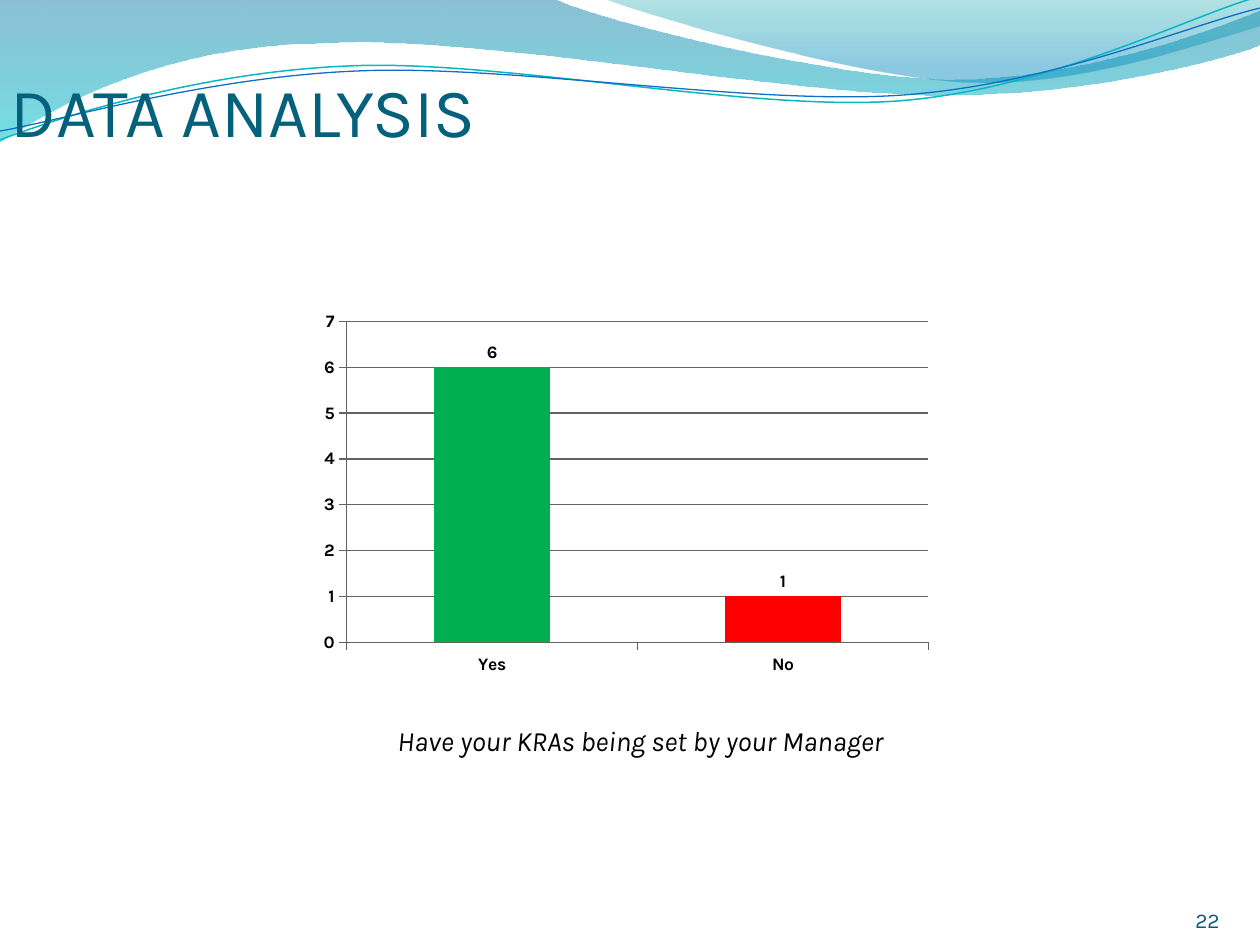
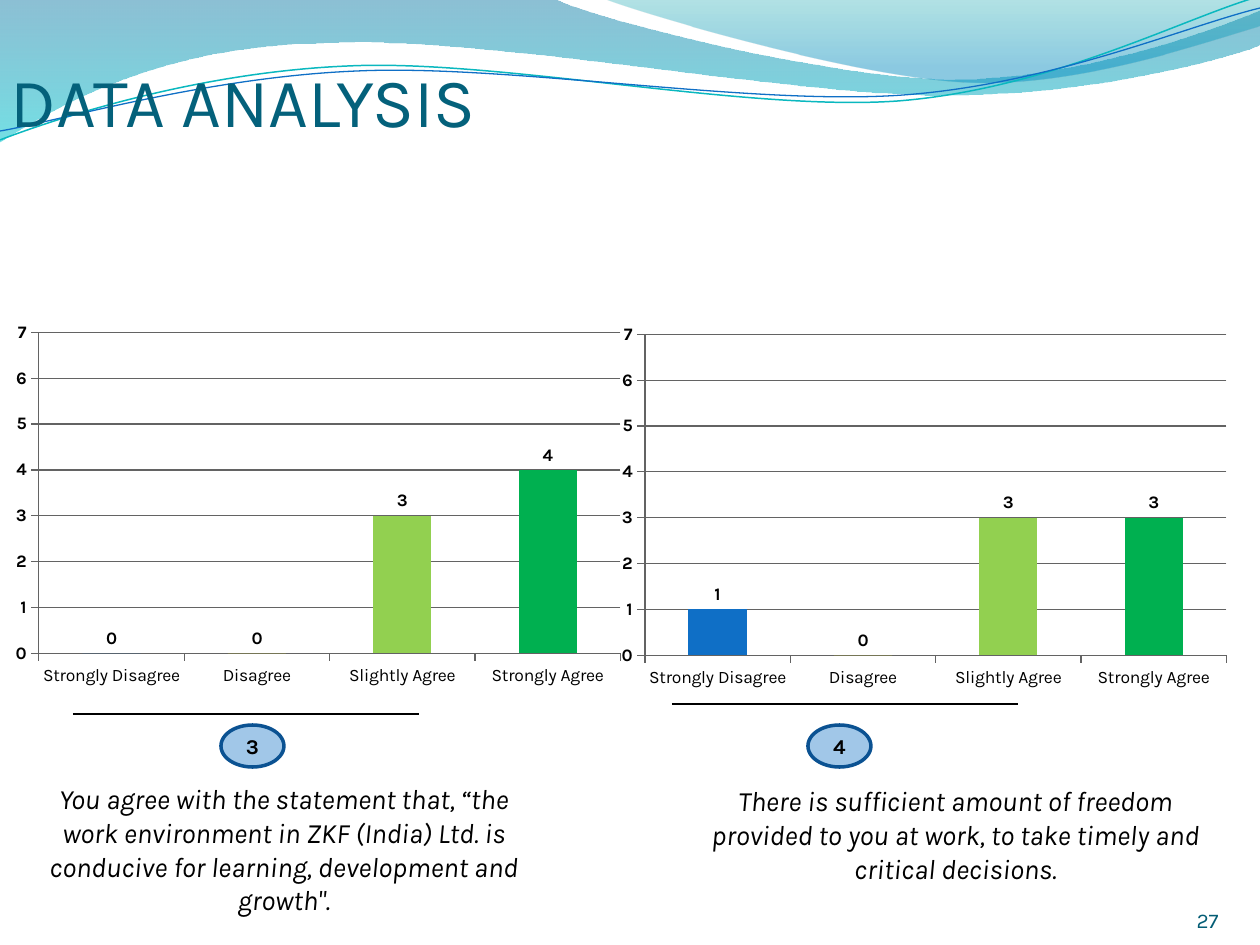
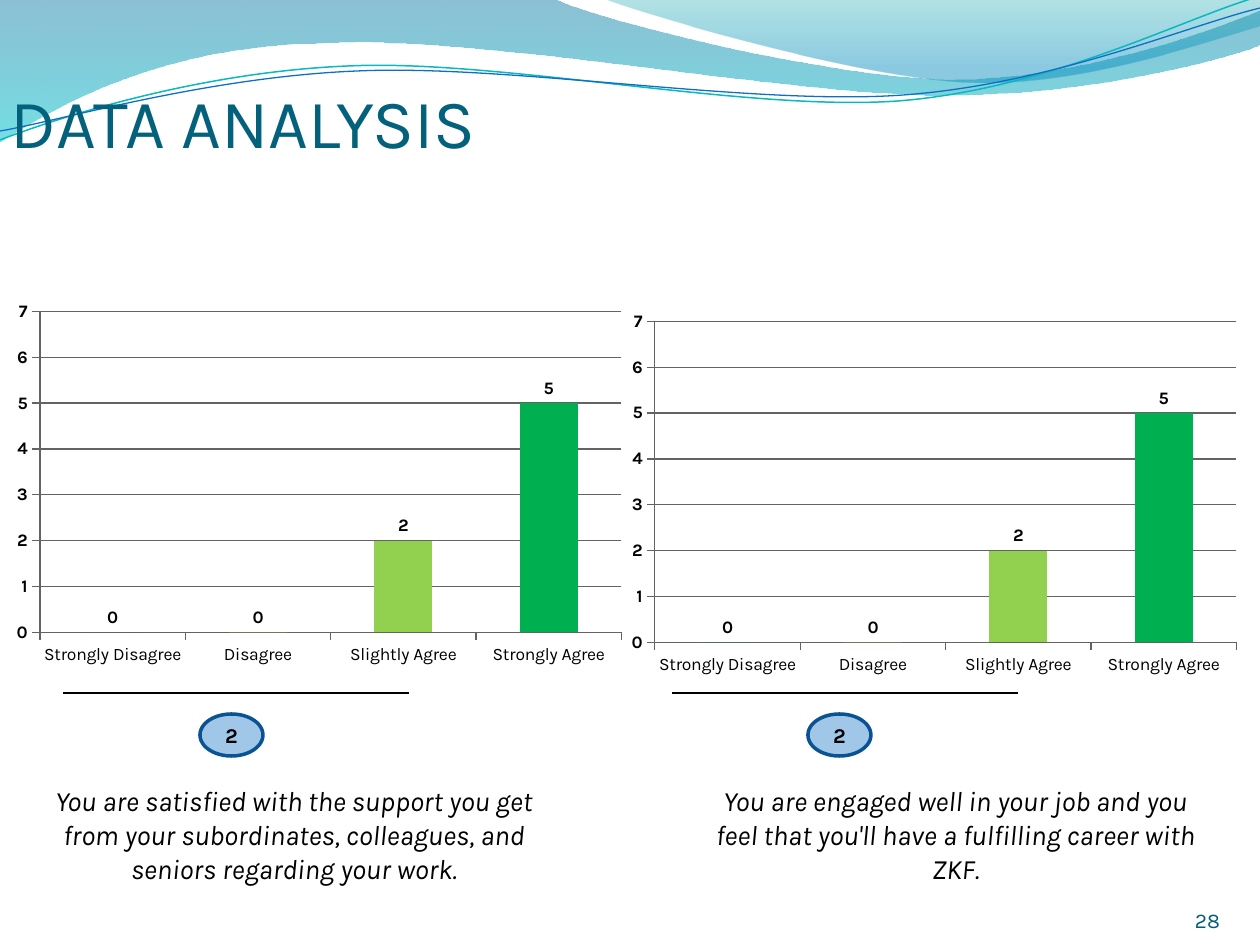
import math

from lxml import etree
from pptx import Presentation
from pptx import util as u
from pptx.chart.data import CategoryChartData
from pptx.dml.color import RGBColor
from pptx.enum import chart as ch, shapes, text
from pptx.oxml.ns import qn

EMU_PER_PX = 914400 / 126
FONT = "Karla"
BLACK, TITLE_TEAL, NUMBER_TEAL = "000000", "04617B", "045D75"
BLUE, BADGE_EDGE, AXIS_GREY = "0F6FC6", "0B5292", "636363"
GREEN, LIME, YELLOW, RED = "00B050", "92D050", "FFFF00", "FF0000"

AGREEMENT = ["Strongly Disagree", "Disagree", "Slightly Agree", "Strongly Agree"]
AGREEMENT_COLORS = [BLUE, YELLOW, LIME, GREEN]
CHART_SIZE = (630, 378)
RULE_WIDTH = 346
BADGE_SIZE = (63, 42)
STRAND_TILT = -2.7
STRAND_CENTER = (629, 73)

# Waves: a start point, then straight steps (1 point) and Bézier steps (3 points).
BACK_WAVE = [
    [(0, 0)], [(554, -1)],
    [(600, 21), (837, 79), (955, 79)], [(1074, 79), (1207, 33), (1260, 11)],
    [(1261, 45)],
    [(1238, 55), (1096, 96), (940, 95)], [(784, 95), (481, 35), (324, 43)],
    [(163, 45), (58, 105), (-1, 142)],
]
FRONT_WAVE = [
    [(604, -1)],
    [(641, 14), (859, 78), (969, 82)], [(1079, 87), (1211, 40), (1260, 26)],
    [(1260, 0)],
]
TEAL_STRAND = [
    [(0, 140)],
    [(60, 117), (199, 72), (349, 66)], [(498, 59), (747, 112), (898, 101)],
    [(1050, 89), (1182, 19), (1257, -3)],
]
BLUE_STRAND = [
    [(0, 131)],
    [(59, 121), (207, 77), (357, 71)], [(508, 64), (752, 106), (903, 95)],
    [(1053, 84), (1186, 26), (1260, 8)],
]


def px(*lengths):
    return [u.Emu(round(length * EMU_PER_PX)) for length in lengths]


def rgb(color):
    return RGBColor.from_string(color)


def set_alpha(fill_element, percents):
    colors = fill_element.iter(qn("a:srgbClr"))
    for color, percent in zip(colors, percents):
        etree.SubElement(color, qn("a:alpha")).set("val", str(percent * 1000))


def style_font(font, size, color=BLACK, bold=False, italic=False):
    font.name, font.size = FONT, u.Pt(size)
    font.bold, font.italic = bold, italic
    font.color.rgb = rgb(color)


def write(shape, words, size, align=text.PP_ALIGN.CENTER,
          anchor=text.MSO_ANCHOR.TOP, insets=(0, 0, 0, 0), **font_format):
    """Fill a shape with one paragraph; insets are left, top, right, bottom."""
    frame = shape.text_frame
    frame.word_wrap = True
    frame.vertical_anchor = anchor
    (frame.margin_left, frame.margin_top,
     frame.margin_right, frame.margin_bottom) = px(*insets)
    paragraph = frame.paragraphs[0]
    paragraph.alignment = align
    run = paragraph.add_run()
    run.text = words
    style_font(run.font, size, **font_format)


def rotate(point, degrees, center):
    angle = math.radians(degrees)
    dx, dy = point[0] - center[0], point[1] - center[1]
    return (center[0] + dx * math.cos(angle) - dy * math.sin(angle),
            center[1] + dx * math.sin(angle) + dy * math.cos(angle))


def add_outline(slide, steps, close):
    """Draw the steps as straight lines, then bend those with control points."""
    steps = [[px(*point) for point in step] for step in steps]
    builder = slide.shapes.build_freeform(*steps[0][0])
    builder.add_line_segments([step[-1] for step in steps[1:]], close=close)
    outline = builder.convert_to_shape()
    outline.shadow.inherit = False
    segments = list(outline.element.spPr.iter(qn("a:lnTo")))
    for segment, step in zip(segments, steps[1:]):
        if len(step) == 3:
            segment.tag = qn("a:cubicBezTo")
        for i, (x, y) in enumerate(step[:-1]):
            control = etree.Element(qn("a:pt"), x=str(x - outline.left),
                                    y=str(y - outline.top))
            segment.insert(i, control)
    return outline


def add_wave(slide, steps, stops):
    """Stops are (position, colour, opacity percent) from top to bottom."""
    wave = add_outline(slide, steps, close=True)
    wave.line.fill.background()
    wave.fill.gradient()
    wave.fill.gradient_angle = 270
    for stop, (position, color, _) in zip(wave.fill.gradient_stops, stops):
        stop.position = position
        stop.color.rgb = rgb(color)
    set_alpha(wave.element.spPr, [opacity for _, _, opacity in stops])
    return wave


def add_strand(slide, steps, color, width):
    level_steps = [[rotate(point, -STRAND_TILT, STRAND_CENTER) for point in step]
                   for step in steps]
    strand = add_outline(slide, level_steps, close=False)
    strand.rotation = STRAND_TILT
    strand.fill.background()
    strand.line.color.rgb = rgb(color)
    strand.line.width = u.Pt(width)
    return strand


def add_header(layout, slide):
    """Draw the header on a slide and hand it over to the layout all pages share."""
    for placeholder in list(layout.placeholders):
        layout.shapes.element.remove(placeholder.element)
    header = [
        add_wave(slide, BACK_WAVE, [(0, "0074A1", 45), (1, "00C6CF", 55)]),
        add_wave(slide, FRONT_WAVE, [(0, "00A1A9", 30), (0.8, "008BBF", 45)]),
        add_strand(slide, TEAL_STRAND, "0AB8BF", 0.85),
        add_strand(slide, BLUE_STRAND, BLUE, 0.75),
    ]
    for part in header:
        layout.shapes.element.append(part.element)


def add_page(deck, number, title_top, gap_below_title):
    layout = deck.slide_layouts[6]
    slide = deck.slides.add_slide(layout)
    if len(deck.slides) == 1:
        add_header(layout, slide)
    title = slide.shapes.add_textbox(*px(11, title_top, 1144, 158))
    write(title, "DATA ANALYSIS", 39.6, color=TITLE_TEAL, align=text.PP_ALIGN.LEFT,
          anchor=text.MSO_ANCHOR.BOTTOM, insets=(0, 6, 0, gap_below_title))
    page_number = slide.shapes.add_textbox(*px(1155, 883, 105, 50))
    write(page_number, str(number), 12, color=NUMBER_TEAL, anchor=text.MSO_ANCHOR.BOTTOM)
    return slide


def add_answer_chart(slide, left, top, answers, counts, colors, bold_answers=False):
    data = CategoryChartData()
    data.categories = answers
    data.add_series("Series 1", counts)
    chart = slide.shapes.add_chart(ch.XL_CHART_TYPE.COLUMN_CLUSTERED,
                                   *px(left, top, *CHART_SIZE), data).chart
    chart.has_legend = chart.has_title = False
    style_font(chart.font, 10)

    count_axis, answer_axis = chart.value_axis, chart.category_axis
    count_axis.minimum_scale, count_axis.maximum_scale = 0, 7
    count_axis.major_unit = 1
    count_axis.has_major_gridlines = True
    style_font(count_axis.tick_labels.font, 10, bold=True)
    style_font(answer_axis.tick_labels.font, 10, bold=bold_answers)
    for lines in (count_axis, answer_axis, count_axis.major_gridlines):
        lines.format.line.color.rgb = rgb(AXIS_GREY)
        lines.format.line.width = u.Pt(0.75)

    plot = chart.plots[0]
    plot.gap_width = 150
    plot.vary_by_categories = False
    columns = plot.series[0]
    columns.format.fill.solid()
    columns.format.fill.fore_color.rgb = rgb(BLUE)
    columns.data_labels.show_value = True
    columns.data_labels.position = ch.XL_LABEL_POSITION.OUTSIDE_END
    style_font(columns.data_labels.font, 10, bold=True)
    for i, color in enumerate(colors):
        if color != BLUE:
            fill = columns.points[i].format.fill
            fill.solid()
            fill.fore_color.rgb = rgb(color)


def add_question(slide, left, top, width, height, words):
    question = slide.shapes.add_textbox(*px(left, top, width, height))
    write(question, words, 16, italic=True, insets=(13, 6, 13, 6))
    question.text_frame.auto_size = text.MSO_AUTO_SIZE.SHAPE_TO_FIT_TEXT


def add_rule(slide, left, top):
    rule = slide.shapes.add_connector(shapes.MSO_CONNECTOR.STRAIGHT,
                                      *px(left, top, left + RULE_WIDTH, top))
    rule.line.color.rgb = rgb(BLACK)
    rule.line.width = u.Pt(1)
    etree.SubElement(rule.element.spPr, qn("a:effectLst"))


def add_badge(slide, left, top, count):
    badge = slide.shapes.add_shape(shapes.MSO_SHAPE.OVAL, *px(left, top, *BADGE_SIZE))
    badge.shadow.inherit = False
    badge.fill.solid()
    badge.fill.fore_color.rgb = rgb(BLUE)
    set_alpha(badge.element.spPr, [39])
    badge.line.color.rgb = rgb(BADGE_EDGE)
    badge.line.width = u.Pt(2)
    write(badge, str(count), 12, bold=True, anchor=text.MSO_ANCHOR.MIDDLE)


def add_agreement_panel(slide, left, top, counts, total, words, rule, badge, question):
    """Chart with rule, badge and question, each offset from the panel's corner."""
    add_answer_chart(slide, left, top, AGREEMENT, counts, AGREEMENT_COLORS)
    add_rule(slide, left + rule[0], top + rule[1])
    add_badge(slide, left + badge[0], top + badge[1], total)
    dx, dy, width, height = question
    add_question(slide, left + dx, top + dy, width, height, words)


def main():
    deck = Presentation()
    deck.slide_width, deck.slide_height = px(1260, 945)

    goals = add_page(deck, 22, title_top=53, gap_below_title=60)
    add_answer_chart(goals, 311, 304, ["Yes", "No"], [6, 1], [GREEN, RED], bold_answers=True)
    add_question(goals, 378, 718, 525, 81, "Have your KRAs being set by your Manager")

    environment = add_page(deck, 27, title_top=73, gap_below_title=102)
    add_agreement_panel(
        environment, 3, 315, [0, 0, 3, 4], 3,
        "You agree with the statement that, “the work environment in ZKF (India) Ltd. is "
        "conducive for learning, development and growth\".",
        rule=(70, 399), badge=(218, 410), question=(29, 461, 504, 149))
    add_agreement_panel(
        environment, 609, 317, [1, 0, 3, 3], 4,
        "There is sufficient amount of freedom provided to you at work, to take timely and "
        "critical decisions.",
        rule=(63, 387), badge=(199, 408), question=(84, 461, 525, 115))

    support = add_page(deck, 28, title_top=94, gap_below_title=102)
    add_agreement_panel(
        support, 4, 294, [0, 0, 2, 5], 2,
        "You are satisfied with the support you get from your subordinates, colleagues, and "
        "seniors regarding your work.",
        rule=(59, 399), badge=(196, 420), question=(38, 484, 504, 149))
    add_agreement_panel(
        support, 619, 304, [0, 0, 2, 5], 2,
        "You are engaged well in your job and you feel that you'll have a fulfilling career "
        "with ZKF.",
        rule=(53, 389), badge=(189, 410), question=(74, 474, 525, 115))

    deck.save("out.pptx")


if __name__ == "__main__":
    main()
